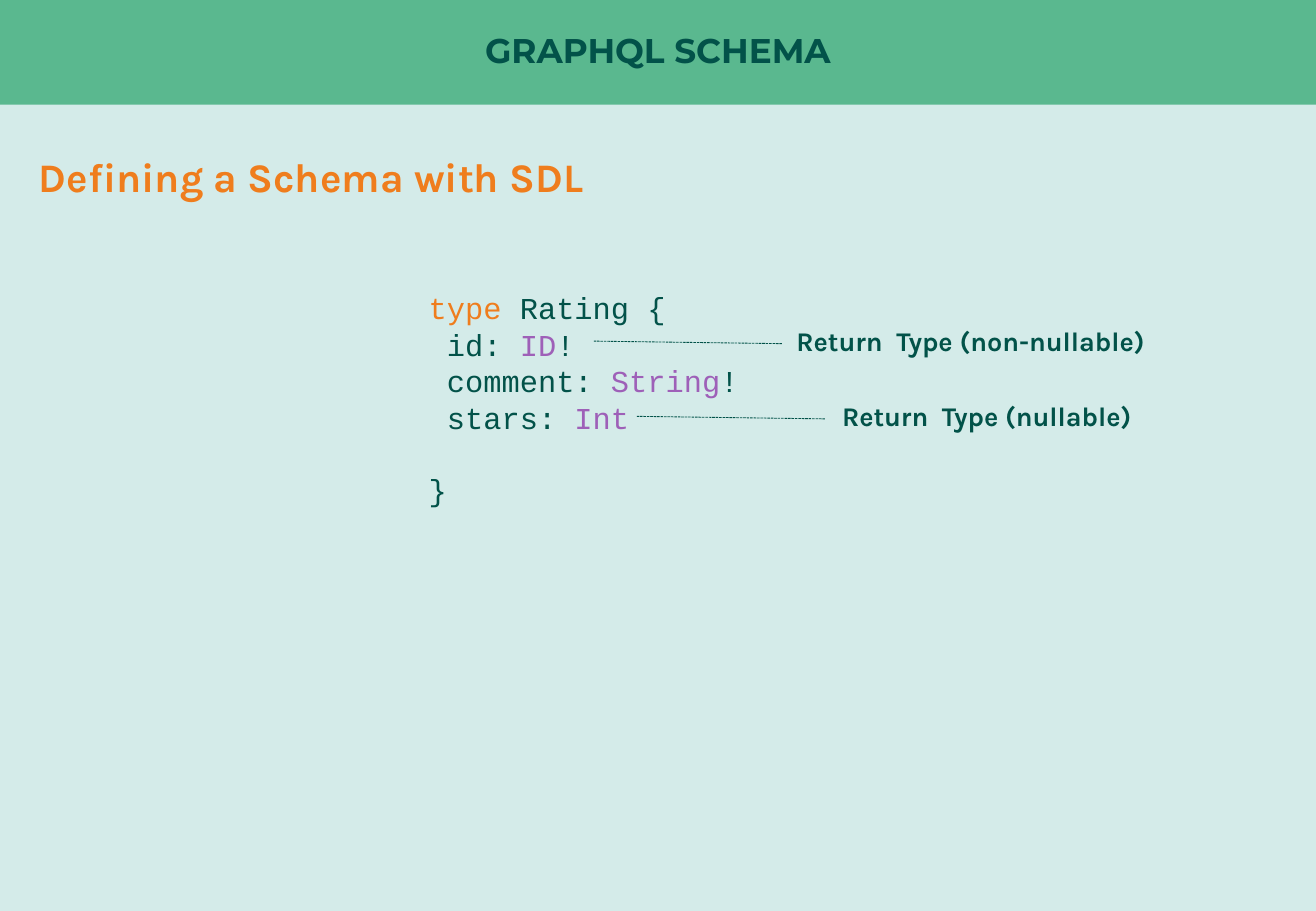
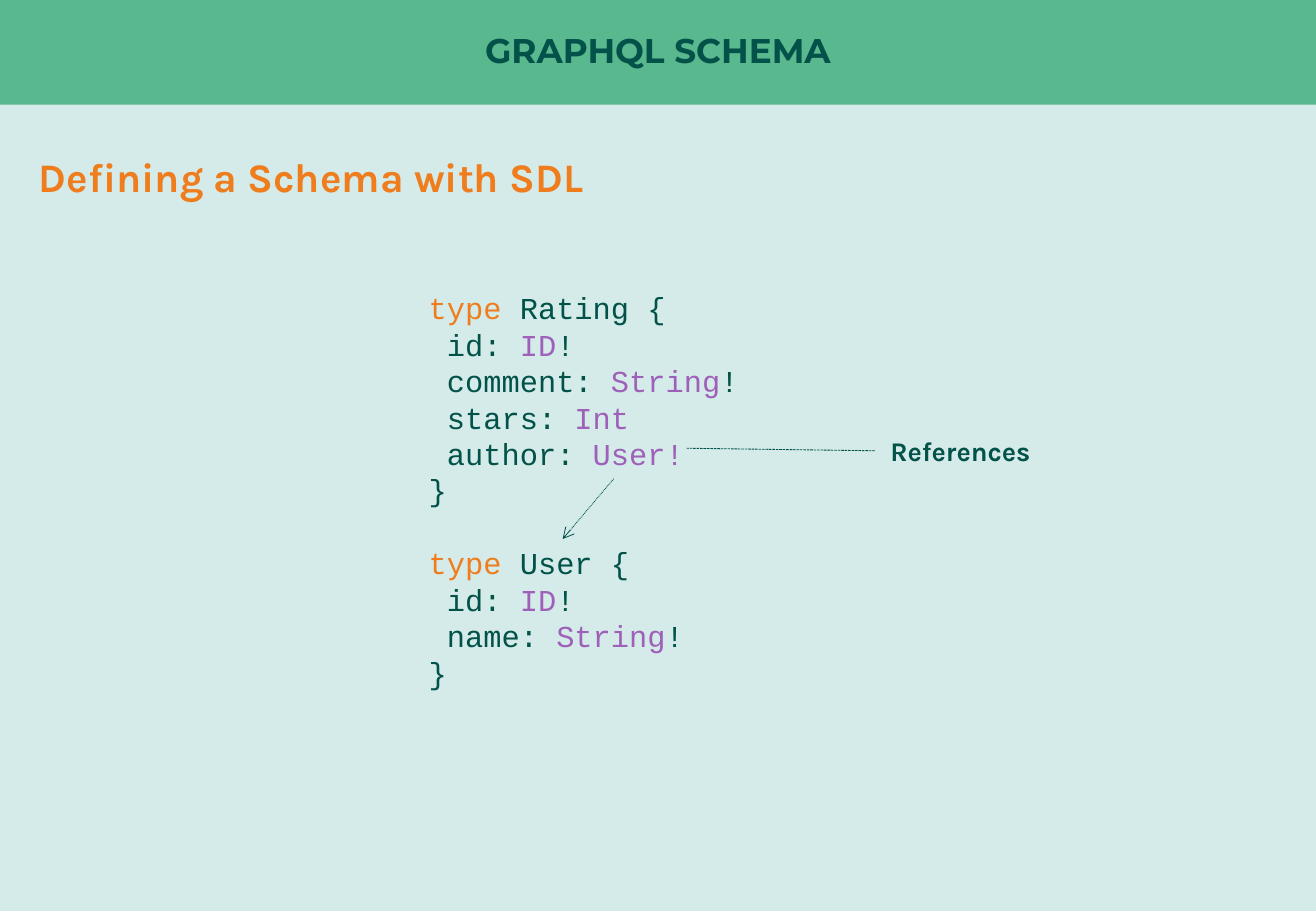
"""Build two slides that explain a GraphQL schema written in SDL."""
from lxml import etree
from pptx import Presentation
from pptx import util as u
from pptx.dml.color import RGBColor
from pptx.enum import dml, shapes, text
from pptx.oxml.ns import qn

COLOURS = {"ground": "D4EBE9", "band": "5AB88F", "ink": "025249",
           "accent": "EF7D1D", "kind": "9E60B8"}
FONTS = {"title": "Montserrat", "label": "Karla", "code": "Courier New"}
WIDTH, HEIGHT, BAND_HEIGHT = 780, 540, 62
LINE_HEIGHT = 21.6


def colour(name):
    """Return the named colour."""
    return RGBColor.from_string(COLOURS[name])


def add_run(paragraph, words, font, size, ink="ink", bold=False):
    """Append one formatted run to a paragraph."""
    run = paragraph.add_run()
    run.text = words
    run.font.name = FONTS[font]
    run.font.size = u.Pt(size)
    run.font.bold = bold
    run.font.color.rgb = colour(ink)


def add_text_frame(slide, left, top, width, height):
    """Add a wrapping text box and return its frame."""
    box = slide.shapes.add_textbox(*map(u.Pt, (left, top, width, height)))
    box.text_frame.word_wrap = True
    return box.text_frame


def prepare_layout(layout, slide):
    """Put the background, band and title position on the shared layout."""
    layout.background.fill.solid()
    layout.background.fill.fore_color.rgb = colour("ground")
    band = slide.shapes.add_shape(shapes.MSO_SHAPE.RECTANGLE, 0, 0,
                                  u.Pt(WIDTH), u.Pt(BAND_HEIGHT))
    band.shadow.inherit = False
    band.fill.solid()
    band.fill.fore_color.rgb = colour("band")
    band.line.fill.background()
    layout.shapes._spTree.insert(2, band._element)

    title = next(p for p in layout.placeholders
                 if p.placeholder_format.type == shapes.PP_PLACEHOLDER.TITLE)
    title.left = title.top = 0
    title.width, title.height = u.Pt(WIDTH), u.Pt(BAND_HEIGHT)
    frame = title.text_frame
    frame.margin_left = frame.margin_right = 0
    frame.margin_top = frame.margin_bottom = 0
    frame.vertical_anchor = text.MSO_ANCHOR.MIDDLE


def add_headings(slide, title, subtitle):
    """Fill the title and add the subtitle below the band."""
    heading = slide.shapes.title.text_frame.paragraphs[0]
    heading.alignment = text.PP_ALIGN.CENTER
    heading.line_spacing = 0.9
    add_run(heading, title, "title", 20.3, bold=True)
    topic = add_text_frame(slide, 16, 80.6, 748, 41).paragraphs[0]
    topic.line_spacing = 1.2
    add_run(topic, subtitle, "label", 24, "accent", True)


def schema_type(name, *fields):
    """Return the coloured code lines of one type definition."""
    return [[("type", "accent"), (f" {name} {{", "ink")], *fields,
            [("}", "ink")]]


def field(name, kind, mark="!", mark_ink="ink"):
    """Return the coloured code line of one field."""
    parts = [(f" {name}: ", "ink"), (kind, "kind"), (mark, mark_ink)]
    return [part for part in parts if part[0]]


def add_code(slide, lines, height, gap_before):
    """Write code lines, with one line of space before the given line."""
    frame = add_text_frame(slide, 247, 168, 322, height)
    for number, parts in enumerate(lines):
        line = frame.add_paragraph() if number else frame.paragraphs[0]
        line.line_spacing = u.Pt(LINE_HEIGHT)
        if number == gap_before:
            line.space_before = u.Pt(LINE_HEIGHT)
        for words, ink in parts:
            add_run(line, words, "code", 18, ink)


def add_line(slide, start, end, dash, arrow=False):
    """Draw a thin broken line, with an optional arrowhead at its start."""
    line = slide.shapes.add_connector(shapes.MSO_CONNECTOR.STRAIGHT,
                                      *map(u.Pt, (*start, *end)))
    line.line.color.rgb = colour("ink")
    line.line.width = u.Pt(0.5)
    line.line.dash_style = dash
    if arrow:
        etree.SubElement(line.line._ln, qn("a:headEnd"), type="arrow")
    etree.SubElement(line._element.spPr, qn("a:effectLst"))


def add_callout(slide, words, left, top, line_x, line_y):
    """Add a label and the dashed line that leads from it to the code."""
    label = add_text_frame(slide, left, top, 230, 26.6).paragraphs[0]
    add_run(label, words, "label", 16, bold=True)
    add_line(slide, (line_x, line_y), (line_x - 111.5, line_y - 1.5),
             dml.MSO_LINE.SQUARE_DOT)


def main():
    """Build and save the presentation."""
    deck = Presentation()
    deck.slide_width, deck.slide_height = u.Pt(WIDTH), u.Pt(HEIGHT)
    layout = deck.slide_layouts.get_by_name("Title Only")
    nullability, references = [deck.slides.add_slide(layout) for _ in range(2)]
    prepare_layout(layout, nullability)
    for slide in (nullability, references):
        add_headings(slide, "GRAPHQL SCHEMA", "Defining a Schema with SDL")

    rating_fields = [field("id", "ID"), field("comment", "String"),
                     field("stars", "Int", "")]
    rating = schema_type("Rating", *rating_fields)
    add_code(nullability, rating, 204, len(rating) - 1)
    add_callout(nullability, "Return  Type (non-nullable)",
                465, 188.6, 463.5, 203.7)
    add_callout(nullability, "Return  Type (nullable)",
                492, 233.3, 489, 248.3)

    authored_rating = schema_type("Rating", *rating_fields,
                                  field("author", "User", "!", "kind"))
    user = schema_type("User", field("id", "ID"), field("name", "String"))
    add_code(references, authored_rating + user, 312, len(authored_rating))
    add_line(references, (333.5, 319.5), (364, 283.5),
             dml.MSO_LINE.ROUND_DOT, arrow=True)
    add_callout(references, "References", 520.6, 254.2, 518.5, 267.2)
    deck.save("out.pptx")


if __name__ == "__main__":
    main()
